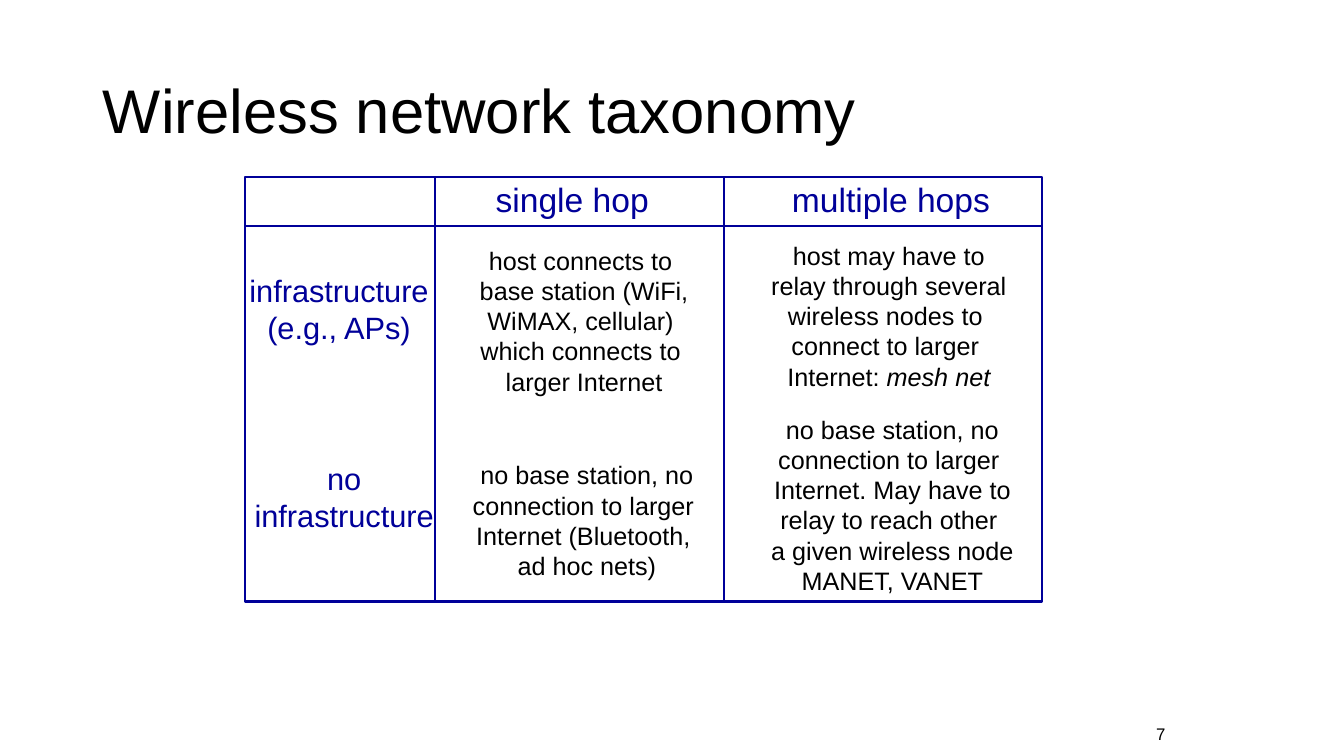
import pptx
import pptx.util
import pptx.dml.color
import pptx.enum.text
import pptx.enum.shapes
import pptx.oxml.ns
import lxml.etree

Cm = pptx.util.Cm
ALIGN = pptx.enum.text.PP_ALIGN
ANCHOR = pptx.enum.text.MSO_ANCHOR
FIT = pptx.enum.text.MSO_AUTO_SIZE

COLORS = {"navy": "000099", "black": "000000"}
FONT = "Arial"
TITLE = "Wireless network taxonomy"
PAGE = "7"

HEADS = [
    ("single hop", (12.24, 4.39, 4.42, 1.27)),
    ("multiple hops", (19.71, 4.39, 5.56, 1.27)),
]
SIDES = [
    ("infrastructure\n(e.g., APs)", (5.99, 6.73, 5.11, 2.13)),
    ("no\ninfrastructure", (6.12, 11.46, 5.11, 2.13)),
]
CELLS = [
    ("host connects to \nbase station (WiFi,\nWiMAX, cellular) \n"
     "which connects to \nlarger Internet", (11.81, 6.05, 5.82, 4.11)),
    ("no base station, no\nconnection to larger \nInternet (Bluetooth, \n"
     "ad hoc nets)", (11.63, 11.46, 6.32, 3.33)),
    ("host may have to\nrelay through several\nwireless nodes to \n"
     "connect to larger \nInternet: ", (19.15, 5.92, 6.5, 4.11)),
    ("no base station, no\nconnection to larger \nInternet. May have to\n"
     "relay to reach other \na given wireless node\nMANET, VANET",
     (19.15, 10.31, 6.68, 4.88)),
]
MESH = "mesh net"
GROUPS = [
    (HEADS, 24, "navy", ALIGN.LEFT),
    (SIDES, 22, "navy", ALIGN.CENTER),
    (CELLS, 18, "black", ALIGN.CENTER),
]

LEFT, TOP, RIGHT, BASE = 6.17, 4.47, 26.26, 15.16
HEAD_Y = 5.69
COLS = [10.97, 18.24]


def paint(name):
    return pptx.dml.color.RGBColor.from_string(COLORS[name])


def style(frame, size, color, align):
    for para in frame.paragraphs:
        para.alignment = align
        for run in para.runs:
            run.font.name = FONT
            run.font.size = pptx.util.Pt(size)
            run.font.color.rgb = paint(color)


def label(slide, text, place, size, color, align):
    box = slide.shapes.add_textbox(*map(Cm, place))
    frame = box.text_frame
    frame.text = text
    frame.word_wrap = False
    frame.auto_size = FIT.SHAPE_TO_FIT_TEXT
    if text.endswith("Internet: "):
        run = frame.paragraphs[-1].add_run()
        run.text = MESH
        run.font.italic = True
    style(frame, size, color, align)
    return frame


def ink(shape):
    shape.line.color.rgb = paint("navy")
    shape.line.width = pptx.util.Pt(1.5)


def rule(slide, *ends):
    kind = pptx.enum.shapes.MSO_CONNECTOR.STRAIGHT
    line = slide.shapes.add_connector(kind, *map(Cm, ends))
    ink(line)
    props = line._element.spPr
    lxml.etree.SubElement(props, pptx.oxml.ns.qn("a:effectLst"))


def main():
    deck = pptx.Presentation()
    deck.slide_width, deck.slide_height = Cm(33.87), Cm(19.05)
    slide = deck.slides.add_slide(deck.slide_layouts[5])

    title = slide.shapes.title
    title.left, title.top = Cm(2.34), Cm(1.02)
    title.width, title.height = Cm(29.21), Cm(3.68)
    frame = title.text_frame
    frame.text = TITLE
    frame.auto_size = FIT.NONE
    frame.vertical_anchor = ANCHOR.MIDDLE
    frame.paragraphs[0].line_spacing = 0.9
    style(frame, 44, "black", ALIGN.LEFT)

    for items, size, color, align in GROUPS:
        for text, place in items:
            label(slide, text, place, size, color, align)

    grid = slide.shapes.add_shape(
        pptx.enum.shapes.MSO_SHAPE.RECTANGLE,
        Cm(LEFT), Cm(TOP), Cm(RIGHT - LEFT), Cm(BASE - TOP))
    grid.shadow.inherit = False
    grid.fill.background()
    ink(grid)
    rule(slide, LEFT, HEAD_Y, RIGHT, HEAD_Y)
    for x in COLS:
        rule(slide, x, TOP, x, BASE)

    page = label(slide, PAGE, (27.71, 18.11, 1.91, 0.76),
                 12, "black", ALIGN.RIGHT)
    page.word_wrap = True
    page.auto_size = FIT.NONE
    page.vertical_anchor = ANCHOR.MIDDLE

    deck.save("out.pptx")


if __name__ == "__main__":
    main()
